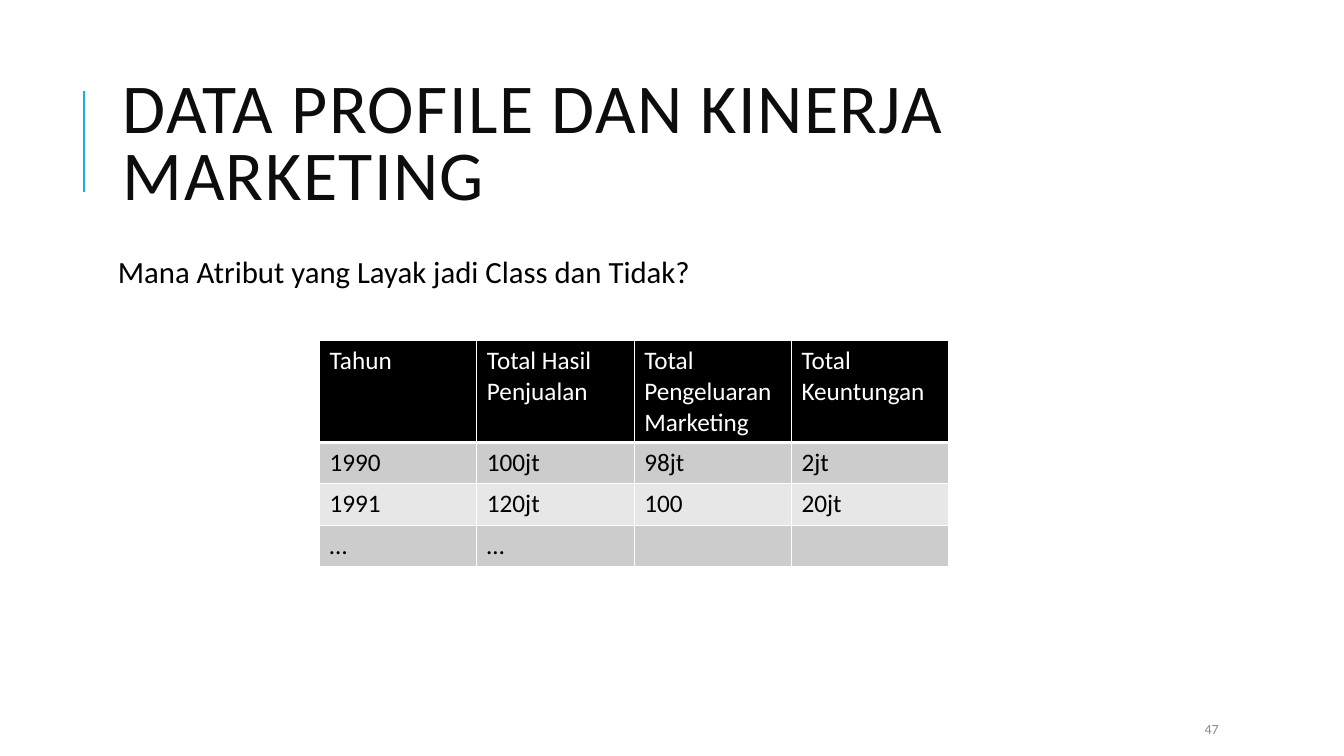
from dataclasses import dataclass

from lxml import etree
from pptx import Presentation
from pptx.dml.color import RGBColor
from pptx.enum import shapes, text
from pptx.oxml import ns
from pptx.util import Inches, Pt

FONT = "Calibri"
COLORS = {
    "accent": "1CADE4",
    "title": "0D0D0D",
    "ink": "000000",
    "paper": "FFFFFF",
    "muted": "8C8C8C",
    "odd": "CCCCCC",
    "even": "E7E7E7",
}


@dataclass
class Label:
    words: str
    box: tuple[float, float, float, float]
    size: int
    color: str
    anchor: text.MSO_ANCHOR = text.MSO_ANCHOR.MIDDLE
    inset: tuple[float, float] = (0.1, 0.05)
    lead: float = 1.0
    track: int = 0


@dataclass
class Row:
    cells: tuple[str, ...]
    fill: str
    color: str = "ink"
    height: float = 0.41
    base: float = 1  # bottom border in points


LABELS = [
    Label("Mana Atribut yang Layak jadi Class dan Tidak?", (1.12, 2.5, 10.63, 4.4),
          22, "ink", text.MSO_ANCHOR.TOP, (0.05, 0.05), 0.9),
    Label("47", (11.85, 7.08, 1.06, 0.3), 10, "muted"),
    Label("DATA PROFILE DAN KINERJA MARKETING", (1.12, 0.64, 10.63, 1.64),
          50, "title", lead=0.8, track=100),
]

ROWS = [
    Row(("Tahun", "Total Hasil Penjualan", "Total Pengeluaran Marketing",
         "Total Keuntungan"), "ink", "paper", 1.01, 3),
    Row(("1990", "100jt", "98jt", "2jt"), "odd"),
    Row(("1991", "120jt", "100", "20jt"), "even"),
    Row(("…", "…", "", ""), "odd"),
]


def rgb(name: str) -> RGBColor:
    return RGBColor.from_string(COLORS[name])


def write(frame, words: str, *, size: int, color: str, lead: float = 1.0,
          track: int = 0) -> None:
    para = frame.paragraphs[0]
    para.line_spacing = lead
    para.font.size = Pt(size)
    if not words:
        return
    run = para.add_run()
    run.text = words
    run.font.name = FONT
    run.font.size = Pt(size)
    run.font.color.rgb = rgb(color)
    if track:
        run.font._element.set("spc", str(track))


def add_label(slide, label: Label) -> None:
    frame = slide.shapes.add_textbox(*map(Inches, label.box)).text_frame
    frame.word_wrap = True
    frame.vertical_anchor = label.anchor
    side, edge = map(Inches, label.inset)
    frame.margin_left = frame.margin_right = side
    frame.margin_top = frame.margin_bottom = edge
    write(frame, label.words, size=label.size, color=label.color,
          lead=label.lead, track=label.track)


def add_edges(cell, base: float) -> None:
    props = cell._tc.get_or_add_tcPr()
    for tag, width in (("lnL", 1), ("lnR", 1), ("lnT", 1), ("lnB", base)):
        edge = etree.SubElement(props, ns.qn(f"a:{tag}"), w=str(Pt(width)))
        fill = etree.SubElement(edge, ns.qn("a:solidFill"))
        etree.SubElement(fill, ns.qn("a:srgbClr"), val=COLORS["paper"])


def add_grid(slide, rows: list[Row], left: float, top: float, width: float) -> None:
    count = len(rows[0].cells)
    high = sum(row.height for row in rows)
    grid = slide.shapes.add_table(
        len(rows), count, *map(Inches, (left, top, width * count, high))).table
    for col in grid.columns:
        col.width = Inches(width)
    for line, row in zip(grid.rows, rows):
        line.height = Inches(row.height)
        for cell, words in zip(line.cells, row.cells):
            add_edges(cell, row.base)
            cell.fill.solid()
            cell.fill.fore_color.rgb = rgb(row.fill)
            write(cell.text_frame, words, size=18, color=row.color)


def add_rule(slide, left: float, top: float, end: float) -> None:
    rule = slide.shapes.add_connector(
        shapes.MSO_CONNECTOR.STRAIGHT, *map(Inches, (left, end, left, top)))
    rule.line.color.rgb = rgb("accent")
    rule.line.width = Pt(1.5)
    etree.SubElement(rule._element.spPr, ns.qn("a:effectLst"))


def main() -> None:
    deck = Presentation()
    deck.slide_width, deck.slide_height = Inches(13.33), Inches(7.5)
    slide = deck.slides.add_slide(deck.slide_layouts[6])

    # Accent rule beside the title
    add_rule(slide, 0.83, 0.9, 1.9)

    # Question, page number and title
    for label in LABELS:
        add_label(slide, label)

    # Sales table
    add_grid(slide, ROWS, 3.17, 3.38, 1.56)

    deck.save("out.pptx")


if __name__ == "__main__":
    main()
